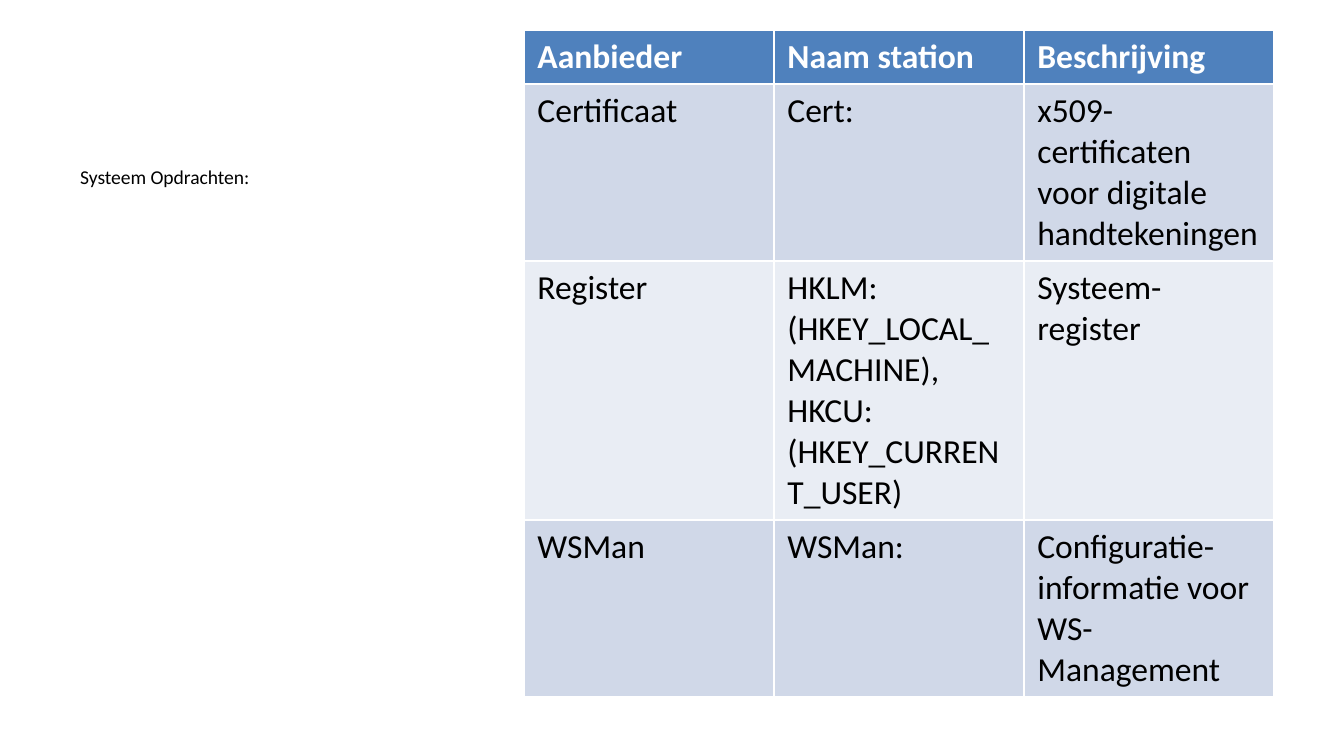
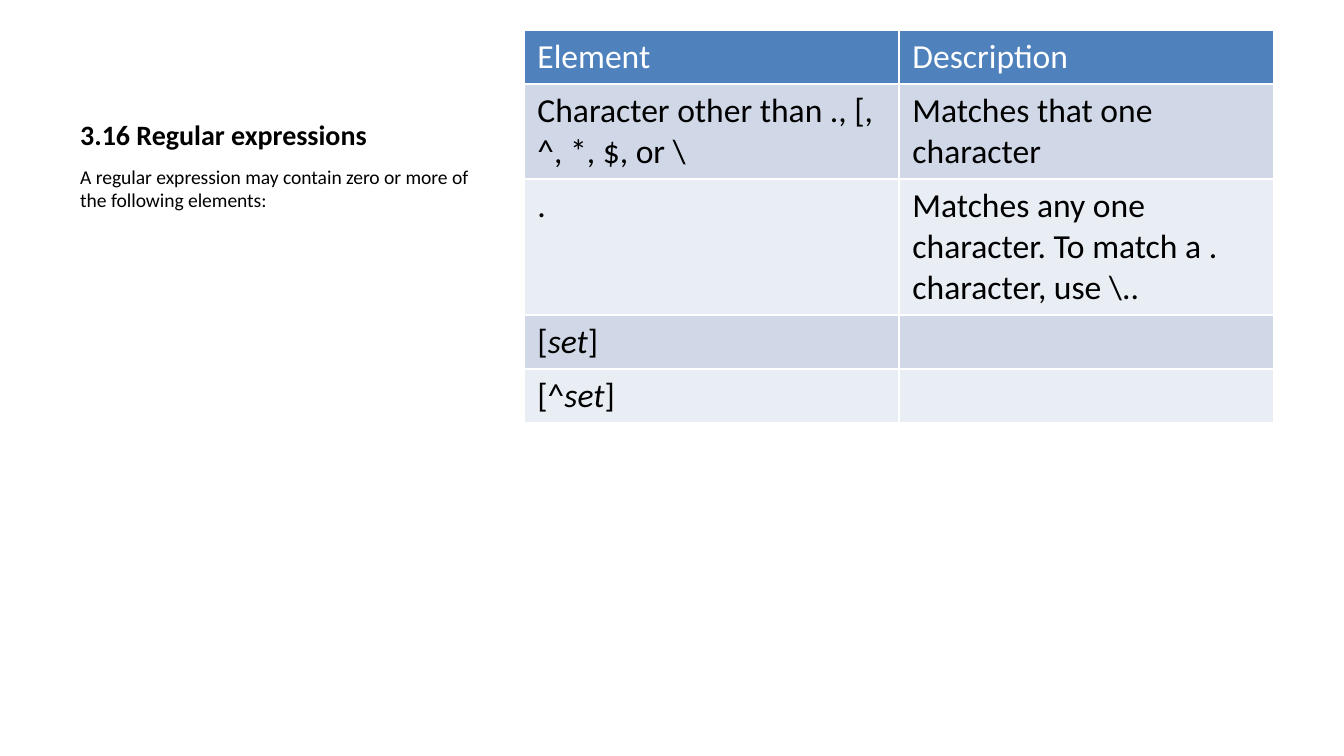
from pptx import Presentation
from pptx.dml.color import RGBColor
from pptx.enum.text import MSO_ANCHOR as Anchor
from pptx.util import Emu, Pt

SCALE = 914400 / 134.4
COLORS = {
    "text": "000000",
    "white": "FFFFFF",
    "header": "4F81BD",
    "odd_row": "D0D8E8",
    "even_row": "E9EDF4",
}
FONT = "Calibri"

# Shared layout: text column on the left, table on the right
TOP, LEFT, TEXT_WIDTH = 30, 67, 442
TITLE_HEIGHT, BODY_TOP, BODY_HEIGHT = 128, 158, 517
TABLE_LEFT, TABLE_WIDTH = 524, 750
LINE_HEIGHT, ROW_PADDING = 41, 13


def px(length):
    return Emu(round(length * SCALE))


class Deck:
    def __init__(self):
        self.presentation = Presentation()
        self.presentation.slide_width = px(1344)
        self.presentation.slide_height = px(756)
        self.slide = None

    def new_slide(self):
        layout = self.presentation.slide_layouts[6]
        self.slide = self.presentation.slides.add_slide(layout)

    def style(self, paragraph, size, color="text", bold=False):
        font = paragraph.font
        font.name, font.size, font.bold = FONT, Pt(size), bold
        font.color.rgb = RGBColor.from_string(COLORS[color])

    def text(self, text, top, height, size, bold=False, anchor=Anchor.TOP):
        box = self.slide.shapes.add_textbox(px(LEFT), px(top), px(TEXT_WIDTH), px(height))
        frame = box.text_frame
        frame.word_wrap = True
        frame.vertical_anchor = anchor
        paragraph = frame.paragraphs[0]
        paragraph.text = text
        self.style(paragraph, size, bold=bold)
        return paragraph

    def title(self, text):
        self.text(text, TOP, TITLE_HEIGHT, 15, bold=True, anchor=Anchor.BOTTOM)

    def body(self, text):
        self.text(text, BODY_TOP, BODY_HEIGHT, 10.5).space_before = Pt(2.1)

    def cell(self, cell, content, row, bold_header):
        header = row == 0
        bold = header and bold_header
        cell.fill.solid()
        fill = "header" if header else "odd_row" if row % 2 else "even_row"
        cell.fill.fore_color.rgb = RGBColor.from_string(COLORS[fill])
        paragraph = cell.text_frame.paragraphs[0]
        self.style(paragraph, 18, "white" if header else "text", bold)
        # In a tuple, every second part is italic
        parts = content if isinstance(content, tuple) else (content,)
        for index, part in enumerate(parts):
            if part:
                run = paragraph.add_run()
                run.text = part
                # The table style makes headers bold unless the run says otherwise
                run.font.bold = bold
                if index % 2:
                    run.font.italic = True

    def table(self, rows, line_counts, bold_header=False):
        # The default table style supplies the white cell borders
        heights = [LINE_HEIGHT * count + ROW_PADDING for count in line_counts]
        columns = len(rows[0])
        table = self.slide.shapes.add_table(
            len(rows), columns, px(TABLE_LEFT), px(TOP), px(TABLE_WIDTH), px(sum(heights))
        ).table
        for column in table.columns:
            column.width = px(TABLE_WIDTH / columns)
        for row, (contents, height) in enumerate(zip(rows, heights)):
            table.rows[row].height = px(height)
            for column, content in enumerate(contents):
                self.cell(table.cell(row, column), content, row, bold_header)


deck = Deck()

# Slide 1: providers
deck.new_slide()
deck.body("Systeem Opdrachten:")
deck.table(
    [
        ("Aanbieder", "Naam station", "Beschrijving"),
        ("Certificaat", "Cert:", "x509-certificaten voor digitale handtekeningen"),
        ("Register", "HKLM: (HKEY_LOCAL_MACHINE), HKCU: (HKEY_CURRENT_USER)", "Systeem-register"),
        ("WSMan", "WSMan:", "Configuratie-informatie voor WS-Management"),
    ],
    line_counts=(1, 4, 6, 4),
    bold_header=True,
)

# Slide 2: regular expressions
deck.new_slide()
deck.title("3.16 Regular expressions")
deck.body("A regular expression may contain zero or more of the following elements:")
deck.table(
    [
        ("Element", "Description"),
        ("Character other than ., [, ^, *, $, or \\", "Matches that one character"),
        (".", "Matches any one character. To match a . character, use \\.."),
        (("[", "set", "]"), ""),
        (("[^", "set", "]"), ""),
    ],
    line_counts=(1, 2, 3, 1, 1),
)

deck.presentation.save("out.pptx")
